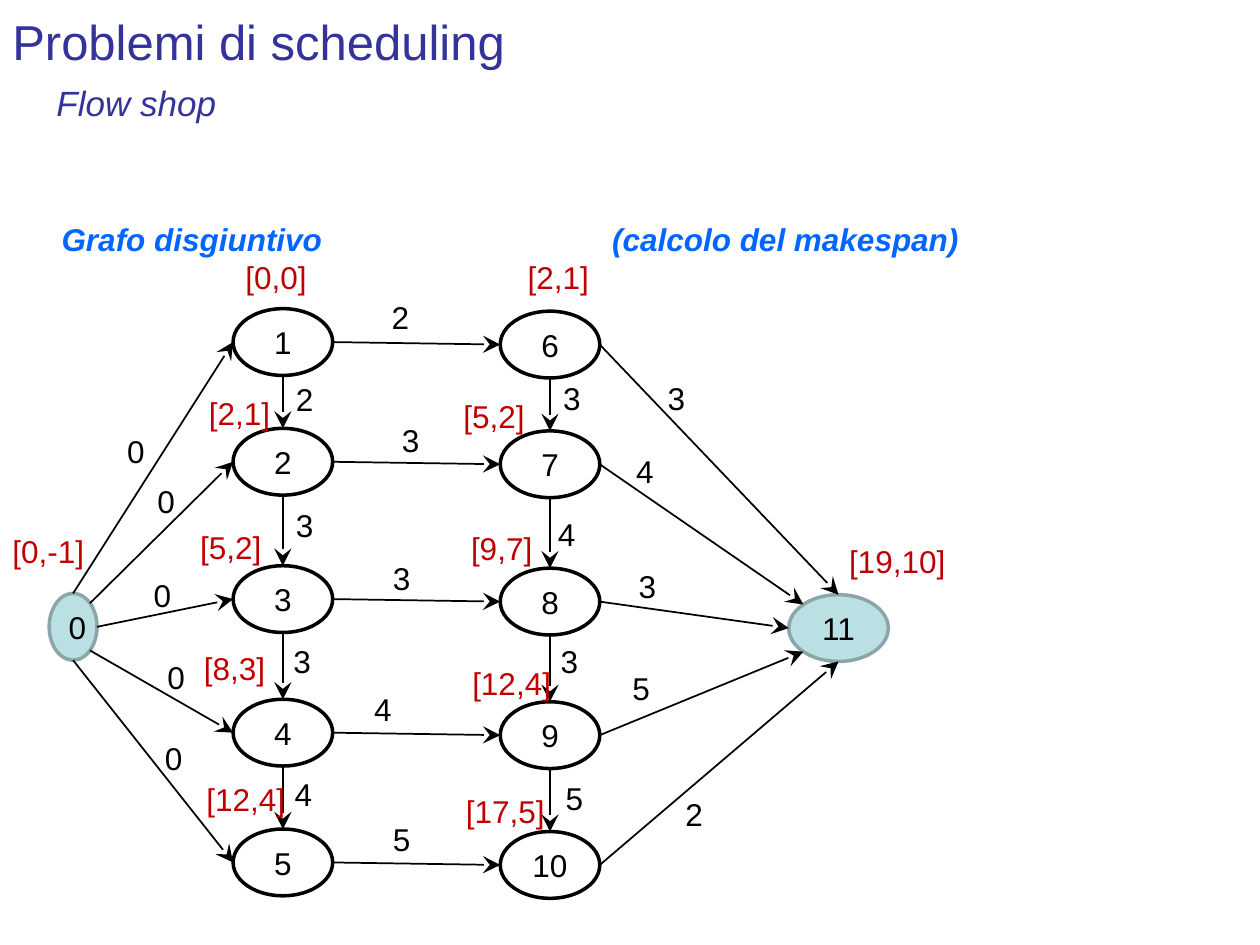
import math

import pptx
import pptx.dml.color
import pptx.enum.shapes
import pptx.enum.text
import pptx.oxml.ns
import pptx.util
from lxml import etree

PX = 9144  # EMU per px, 100 px to the inch
FONT = "Arial"
COLORS = {
    "title": "333399",
    "heading": "0066FF",
    "text": "000000",
    "label": "C00000",
    "terminal": "BBE0E3",
    "terminal_line": "8AA6A8",
}

NODE_WIDTH, NODE_HEIGHT = 79, 53
ROW_TOPS = [245, 340, 449, 555, 658]
COLUMN_LEFTS = [185, 397]
COLUMN_DROP = 2  # the second column sits slightly lower
START, END = 0, 11

# Angles in degrees, clockwise from the right
SIDES = {"right": 0, "bottom right": 45, "bottom": 90, "bottom left": 135,
         "left": 180, "top left": 225, "top": 270, "top right": 315}

# from node, side, to node, side, weight, left and top of the weight
ARCS = [
    (0, "top", 1, "left", 0, 91, 338),
    (0, "top right", 2, "left", 0, 115, 378),
    (0, "right", 3, "left", 0, 112, 452),
    (0, "bottom right", 4, "left", 0, 123, 517),
    (0, "bottom", 5, "left", 0, 121, 582),
    (1, "bottom", 2, "top", 2, 225, 297),
    (2, "bottom", 3, "top", 3, 225, 397),
    (3, "bottom", 4, "top", 3, 223, 505),
    (4, "bottom", 5, "top", 4, 224, 610),
    (6, "bottom", 7, "top", 3, 437, 296),
    (7, "bottom", 8, "top", 4, 433, 404),
    (8, "bottom", 9, "top", 3, 435, 505),
    (9, "bottom", 10, "top", 5, 439, 613),
    (1, "right", 6, "left", 2, 301, 232),
    (2, "right", 7, "left", 3, 309, 329),
    (3, "right", 8, "left", 3, 302, 439),
    (4, "right", 9, "left", 4, 287, 543),
    (5, "right", 10, "left", 5, 302, 646),
    (6, "right", 11, "top", 3, 520, 296),
    (7, "right", 11, "top left", 4, 495, 354),
    (8, "right", 11, "left", 3, 497, 445),
    (9, "right", 11, "bottom left", 5, 492, 526),
    (10, "right", 11, "bottom", 2, 534, 626),
]

# makespan label, left, top, width
NODE_LABELS = [
    ("[0,-1]", 0, 417, 94),
    ("[0,0]", 185, 200, 94),
    ("[2,1]", 156, 308, 94),
    ("[5,2]", 149, 414, 94),
    ("[8,3]", 152, 510, 94),
    ("[12,4]", 154, 614, 94),
    ("[2,1]", 409, 200, 94),
    ("[5,2]", 358, 310, 94),
    ("[9,7]", 364, 415, 94),
    ("[12,4]", 365, 522, 94),
    ("[17,5]", 360, 624, 94),
    ("[19,10]", 664, 425, 134),
]


def px(value):
    return pptx.util.Emu(round(value * PX))


def rgb(name):
    return pptx.dml.color.RGBColor.from_string(COLORS[name])


def write(shape, text, size=18, color="text", bold=False, italic=False,
          align=None, anchor=pptx.enum.text.MSO_ANCHOR.TOP):
    frame = shape.text_frame
    frame.word_wrap = True
    frame.vertical_anchor = anchor
    paragraph = frame.paragraphs[0]
    paragraph.alignment = align
    run = paragraph.add_run()
    run.text = text
    run.font.name = FONT
    run.font.size = pptx.util.Pt(size)
    run.font.bold = bold
    run.font.italic = italic
    run.font.color.rgb = rgb(color)


def add_text(slide, text, left, top, width, height=40, grow=True, **text_format):
    box = slide.shapes.add_textbox(px(left), px(top), px(width), px(height))
    write(box, text, **text_format)
    if grow:
        box.text_frame.auto_size = pptx.enum.text.MSO_AUTO_SIZE.SHAPE_TO_FIT_TEXT


def add_node(slide, number, left, top, width, height):
    node = slide.shapes.add_shape(pptx.enum.shapes.MSO_SHAPE.OVAL,
                                  px(left), px(top), px(width), px(height))
    node.shadow.inherit = False
    node.line.width = pptx.util.Pt(2)
    if number in (START, END):
        node.fill.solid()
        node.fill.fore_color.rgb = rgb("terminal")
        node.line.color.rgb = rgb("terminal_line")
    else:
        node.fill.background()
        node.line.color.rgb = rgb("text")
    write(node, str(number), align=pptx.enum.text.PP_ALIGN.CENTER,
          anchor=pptx.enum.text.MSO_ANCHOR.MIDDLE)


def node_boxes():
    """Map each node number to its left, top, width and height."""
    boxes = {START: (39, 471, 38, NODE_HEIGHT),
             END: (626, 472, NODE_WIDTH, NODE_HEIGHT)}
    for column, left in enumerate(COLUMN_LEFTS):
        for row, top in enumerate(ROW_TOPS):
            number = column * len(ROW_TOPS) + row + 1
            boxes[number] = (left, top + column * COLUMN_DROP,
                             NODE_WIDTH, NODE_HEIGHT)
    return boxes


def rim_point(box, side):
    """Return the point on the ellipse in the box at the named side."""
    left, top, width, height = box
    angle = math.radians(SIDES[side])
    return (px(left + width / 2 * (1 + math.cos(angle))),
            px(top + height / 2 * (1 + math.sin(angle))))


def add_arrow(slide, start, end):
    arrow = slide.shapes.add_connector(
        pptx.enum.shapes.MSO_CONNECTOR.STRAIGHT, *start, *end)
    arrow.line.width = pptx.util.Pt(1)
    arrow.line.color.rgb = rgb("text")
    qn = pptx.oxml.ns.qn
    etree.SubElement(arrow.line._get_or_add_ln(), qn("a:tailEnd"),
                     type="stealth", w="lg", len="lg")
    etree.SubElement(arrow._element.spPr, qn("a:effectLst"))


def main():
    presentation = pptx.Presentation()
    presentation.slide_width, presentation.slide_height = px(1000), px(750)
    slide = presentation.slides.add_slide(presentation.slide_layouts[6])

    add_text(slide, "Flow shop", 35, 60, 914, 47, grow=False,
             size=20, color="title", italic=True)
    add_text(slide, "Problemi di scheduling", 0, -3, 900, 71, grow=False,
             size=28, color="title", anchor=pptx.enum.text.MSO_ANCHOR.MIDDLE)
    for heading, left, width in (("Grafo disgiuntivo", 39, 284),
                                 ("(calcolo del makespan)", 476, 402)):
        add_text(slide, heading, left, 170, width,
                 color="heading", bold=True, italic=True)

    boxes = node_boxes()
    for number, box in boxes.items():
        add_node(slide, number, *box)
    for source, source_side, target, target_side, weight, left, top in ARCS:
        add_arrow(slide, rim_point(boxes[source], source_side),
                  rim_point(boxes[target], target_side))
        add_text(slide, str(weight), left, top, 35)
    for label, left, top, width in NODE_LABELS:
        add_text(slide, label, left, top, width, color="label")

    presentation.save("out.pptx")


if __name__ == "__main__":
    main()
